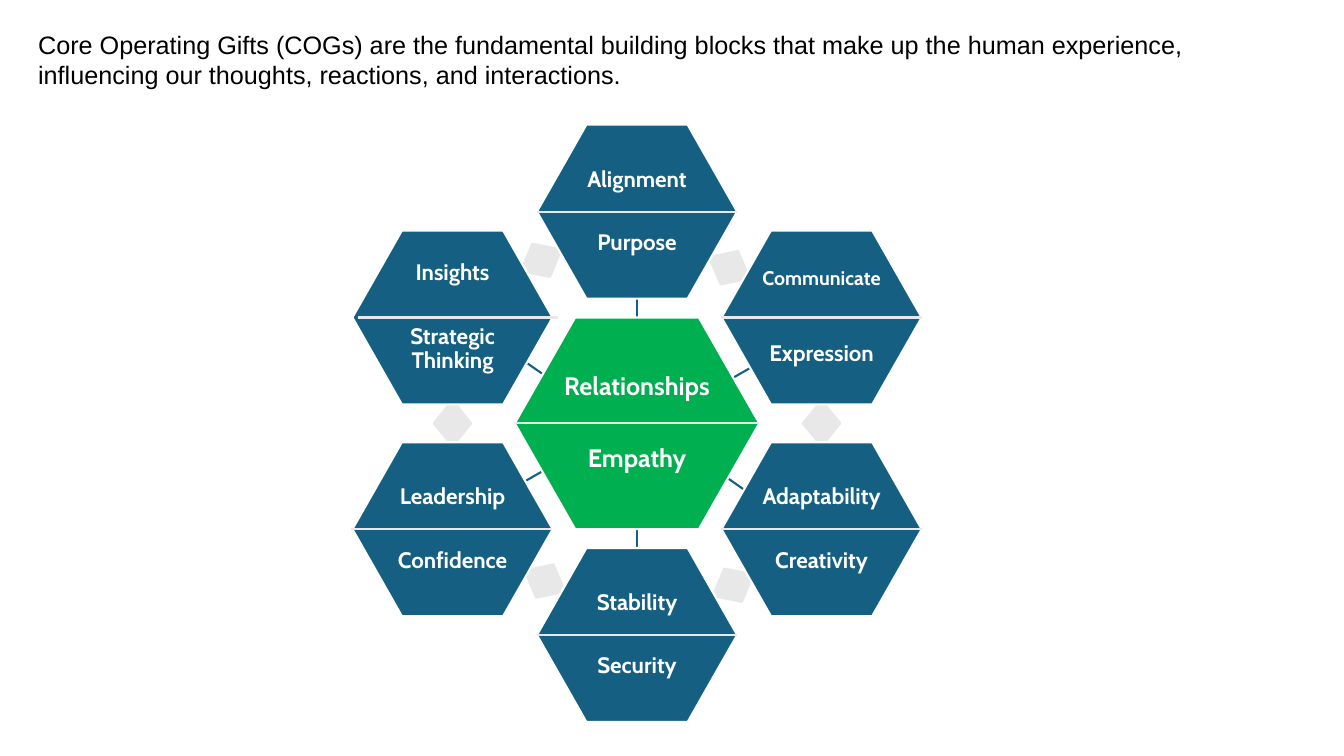
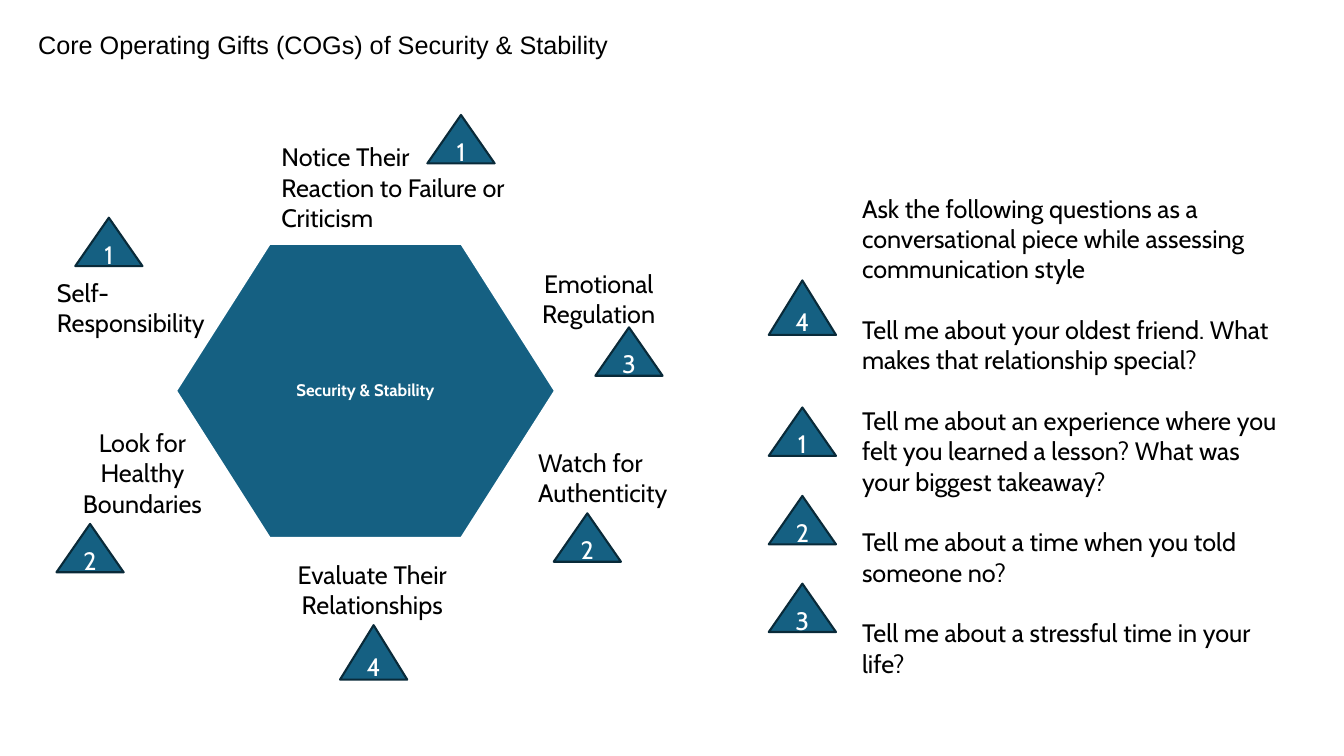
from dataclasses import dataclass

from lxml import etree
from pptx import Presentation
from pptx.dml.color import RGBColor
from pptx.enum.shapes import MSO_CONNECTOR, MSO_SHAPE
from pptx.enum.text import MSO_ANCHOR, MSO_AUTO_SIZE, PP_ALIGN
from pptx.oxml.ns import qn
from pptx.util import Inches, Pt

STRAIGHT = MSO_CONNECTOR.STRAIGHT
DIAMOND, TRIANGLE = MSO_SHAPE.DIAMOND, MSO_SHAPE.ISOSCELES_TRIANGLE
LEFT, CENTER = PP_ALIGN.LEFT, PP_ALIGN.CENTER
MIDDLE = MSO_ANCHOR.MIDDLE
GROW = MSO_AUTO_SIZE.SHAPE_TO_FIT_TEXT

SLIDE_W, SLIDE_H = Inches(13.33), Inches(7.5)


@dataclass(frozen=True)
class Theme:
    blue: RGBColor = RGBColor(0x15, 0x60, 0x82)
    navy: RGBColor = RGBColor(0x09, 0x2A, 0x39)
    green: RGBColor = RGBColor(0x00, 0xB0, 0x50)
    grey: RGBColor = RGBColor(0xE8, 0xE8, 0xE8)
    white: RGBColor = RGBColor(0xFF, 0xFF, 0xFF)
    black: RGBColor = RGBColor(0x00, 0x00, 0x00)
    title_font: str = "Arial"
    body_font: str = "Cabin"
    body: int = 18
    gift: int = 16
    long_gift: int = 14
    caption: int = 12
    stroke: float = 1.5


THEME = Theme()

# Positions and sizes are percentages of the slide's width and height.
SHOULDER = 0.247       # hexagon corner, as a share of its width
HEXAGON_INSET = 0.175  # text margin, as a share of the hexagon
TEXT_LINE = 4.05
TEXT_MARGIN = 1.3
BADGE_W, BADGE_H, TALL_BADGE_H = 5, 6.4, 7.2

# The wheel of gifts has its own grid, counted from its hub.
HUB_X, HUB_Y = 47.4, 56
WHEEL_COL, WHEEL_ROW = 13.73, 14
HUB_SIZE, GIFT_SIZE = (18.2, 28), (14.9, 23)

# column, row, upper gift, lower gift, upper size, gap in points, divider shift
GIFTS = [
    (0, -2, "Alignment", "Purpose", THEME.gift, 28, 0),
    (1, -1, "Communicate", "Expression", THEME.long_gift, 38, 0),
    (1, 1, "Adaptability", "Creativity", THEME.gift, 28, 0),
    (0, 2, "Stability", "Security", THEME.gift, 28, 0),
    (-1, 1, "Leadership", "Confidence", THEME.gift, 28, -0.1),
    (-1, -1, "Insights", "Strategic Thinking", THEME.gift, 28, 0.4),
]
# column, row, rotation
BRIDGES = [
    (1, 0, 0), (-1, 0, 0),
    (0.52, 1.53, 62), (-0.5, 1.49, 117.7),
    (0.5, -1.47, 117.7), (-0.52, -1.54, 62),
]
# start column and row, end column and row
SPOKES = [
    (0, -1.43, 0, -0.8), (0, 0.8, 0, 1.43),
    (-0.47, 0.41, -0.86, 0.8), (0.81, -0.72, 0.42, -0.33),
    (-0.72, -0.72, -0.4, -0.33), (0.46, 0.48, 0.78, 0.87),
]

# text, left, top, width, line count, alignment
TRAITS = [
    ("Evaluate Their Relationships", 20.7, 73.3, 14, 2, CENTER),
    ("Watch for Authenticity", 39.3, 58.5, 14.2, 2, LEFT),
    ("Look for Healthy Boundaries", 3.5, 55.9, 14.2, 3, CENTER),
    ("Self-Responsibility", 3.5, 36, 13.7, 2, LEFT),
    ("Notice Their Reaction to Failure or Criticism", 20.2, 18.1, 18.2, 3, LEFT),
    ("Emotional Regulation", 36.2, 34.8, 16.7, 2, CENTER),
]
# number, left, top, height
QUESTION_BADGE_LEFT = 57.2
BADGES = [
    ("2", 4.2, 69.3, BADGE_H),
    ("4", 25.3, 82.7, TALL_BADGE_H),
    ("3", 44.3, 43.3, BADGE_H),
    ("1", 31.8, 15.2, BADGE_H),
    ("1", 5.6, 28.8, BADGE_H),
    ("2", 41.2, 67.9, BADGE_H),
    ("4", QUESTION_BADGE_LEFT, 37.1, TALL_BADGE_H),
    ("1", QUESTION_BADGE_LEFT, 53.9, BADGE_H),
    ("2", QUESTION_BADGE_LEFT, 65.6, BADGE_H),
    ("3", QUESTION_BADGE_LEFT, 77.2, BADGE_H),
]
QUESTIONS = [
    "Ask the following questions as a conversational piece while assessing communication style",
    "Tell me about your oldest friend. What makes that relationship special?",
    "Tell me about an experience where you felt you learned a lesson? What was your biggest takeaway?",
    "Tell me about a time when you told someone no?",
    "Tell me about a stressful time in your life?",
]


def across(percent):
    return round(SLIDE_W * percent / 100)


def down(percent):
    return round(SLIDE_H * percent / 100)


def on_wheel(col, row):
    return HUB_X + col * WHEEL_COL, HUB_Y + row * WHEEL_ROW


def style_paragraph(paragraph, size, color, bold=False, align=LEFT,
                    font=THEME.body_font):
    paragraph.alignment = align
    for run in paragraph.runs:
        run.font.name = font
        run.font.size = Pt(size)
        run.font.bold = bold
        run.font.color.rgb = color


def paint(shape, fill, outline):
    shape.shadow.inherit = False
    shape.fill.solid()
    shape.fill.fore_color.rgb = fill
    shape.line.color.rgb = outline
    shape.line.width = Pt(THEME.stroke)


def add_rule(slide, x1, y1, x2, y2, color):
    rule = slide.shapes.add_connector(
        STRAIGHT, across(x1), down(y1), across(x2), down(y2))
    rule.line.color.rgb = color
    rule.line.width = Pt(THEME.stroke)
    etree.SubElement(rule.element.spPr, qn("a:effectLst"))


def add_text(slide, paragraphs, left, top, width, lines, align=LEFT,
             font=THEME.body_font, gap=0):
    box = slide.shapes.add_textbox(
        across(left), down(top), across(width),
        down(TEXT_MARGIN + lines * TEXT_LINE))
    frame = box.text_frame
    frame.word_wrap = True
    frame.auto_size = GROW
    frame.text = "\n".join(paragraphs)
    for paragraph in frame.paragraphs:
        style_paragraph(paragraph, THEME.body, THEME.black, align=align, font=font)
    for paragraph in frame.paragraphs[1:]:
        paragraph.space_before = Pt(gap)


def add_title(slide, title, lines):
    add_text(slide, [title], 2.1, 3.2, 90.5, lines, font=THEME.title_font)


def add_hexagon(slide, center, size, fill, labels, gap=0):
    """Draw a flat-topped hexagon; labels holds (text, type size) pairs."""
    (x, y), (width, height) = center, size
    left, right = x - width / 2, x + width / 2
    top, bottom = y - height / 2, y + height / 2
    corner = width * SHOULDER
    outline = [
        (left, y), (left + corner, top), (right - corner, top),
        (right, y), (right - corner, bottom), (left + corner, bottom),
    ]
    points = [(across(px), down(py)) for px, py in outline]
    builder = slide.shapes.build_freeform(*points[0])
    builder.add_line_segments(points[1:], close=True)
    hexagon = builder.convert_to_shape()
    paint(hexagon, fill, THEME.white)

    frame = hexagon.text_frame
    frame.word_wrap = True
    frame.vertical_anchor = MIDDLE
    frame.margin_left = frame.margin_right = across(width * HEXAGON_INSET)
    frame.margin_top = frame.margin_bottom = down(height * HEXAGON_INSET)
    frame.text = "\n".join(text for text, _ in labels)
    for paragraph, (_, type_size) in zip(frame.paragraphs, labels):
        style_paragraph(paragraph, type_size, THEME.white, bold=True, align=CENTER)
        paragraph.line_spacing = 0.9
    for paragraph in frame.paragraphs[1:]:
        paragraph.space_before = Pt(gap)


def add_divider(slide, center, width, shift=0):
    x, y = center
    add_rule(slide, x - width / 2 + shift, y, x + width / 2 + shift, y, THEME.grey)


def add_bridge(slide, center, rotation):
    (x, y), width, height = center, 2.8, 6.1
    bridge = slide.shapes.add_shape(
        DIAMOND, across(x - width / 2), down(y - height / 2),
        across(width), down(height))
    bridge.rotation = rotation
    paint(bridge, THEME.grey, THEME.grey)


def add_badge(slide, number, left, top, height):
    badge = slide.shapes.add_shape(
        TRIANGLE, across(left), down(top), across(BADGE_W), down(height))
    paint(badge, THEME.blue, THEME.navy)
    badge.text_frame.vertical_anchor = MIDDLE
    badge.text_frame.text = number
    style_paragraph(badge.text_frame.paragraphs[0], THEME.body, THEME.white,
                    align=CENTER)


def build_wheel_slide(slide):
    for col, row, rotation in BRIDGES:
        add_bridge(slide, on_wheel(col, row), rotation)
    for col1, row1, col2, row2 in SPOKES:
        add_rule(slide, *on_wheel(col1, row1), *on_wheel(col2, row2), THEME.blue)

    hub = on_wheel(0, 0)
    add_hexagon(slide, hub, HUB_SIZE, THEME.green,
                [("Relationships", THEME.body), ("Empathy", THEME.body)], gap=32)
    for col, row, upper, lower, upper_size, gap, _ in GIFTS:
        add_hexagon(slide, on_wheel(col, row), GIFT_SIZE, THEME.blue,
                    [(upper, upper_size), (lower, THEME.gift)], gap)
    for col, row, *_, shift in GIFTS:
        add_divider(slide, on_wheel(col, row), GIFT_SIZE[0], shift)
    add_divider(slide, hub, HUB_SIZE[0])

    add_title(slide, "Core Operating Gifts (COGs) are the fundamental building "
              "blocks that make up the human experience, influencing our "
              "thoughts, reactions, and interactions.", lines=2)


def build_security_slide(slide):
    add_hexagon(slide, (27.2, 51.7), (28.2, 38.9), THEME.blue,
                [("Security & Stability", THEME.caption)])
    for text, left, top, width, lines, align in TRAITS:
        add_text(slide, [text], left, top, width, lines, align)
    add_title(slide, "Core Operating Gifts (COGs) of Security & Stability", lines=1)
    add_text(slide, QUESTIONS, 63.4, 24.9, 33.2, lines=16, gap=21.8)
    for badge in BADGES:
        add_badge(slide, *badge)


def main():
    deck = Presentation()
    deck.slide_width, deck.slide_height = SLIDE_W, SLIDE_H
    blank = deck.slide_layouts[6]
    for build in (build_wheel_slide, build_security_slide):
        build(deck.slides.add_slide(blank))
    deck.save("out.pptx")


if __name__ == "__main__":
    main()
